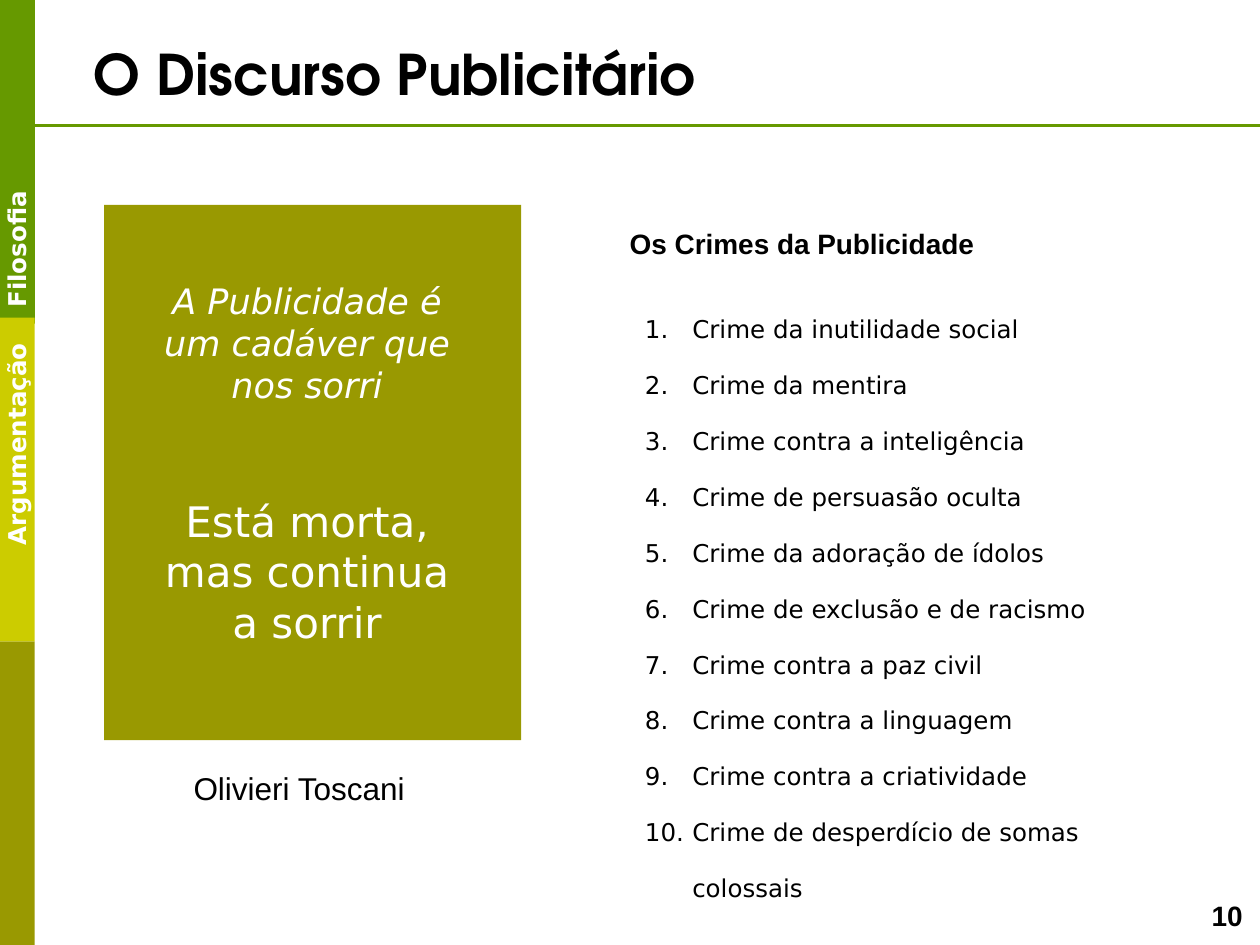
import pptx
import pptx.dml.color
import pptx.enum.shapes
import pptx.enum.text
import pptx.oxml.ns
import pptx.util
from lxml import etree

Pt = pptx.util.Pt
qn = pptx.oxml.ns.qn

BLACK, WHITE = "000000", "FFFFFF"
GREEN, LIME, OLIVE = "669900", "CCCC00", "999901"
SANS, ARIAL, DISPLAY = "DejaVu Sans", "Arial", "TeX Gyre Adventor"


def color(hex_string):
    return pptx.dml.color.RGBColor.from_string(hex_string)


class SlideWriter:
    def __init__(self, slide):
        self.slide = slide

    def block(self, left, top, width, height, fill):
        block = self.slide.shapes.add_shape(
            pptx.enum.shapes.MSO_SHAPE.RECTANGLE,
            Pt(left), Pt(top), Pt(width), Pt(height))
        block.shadow.inherit = False
        block.fill.solid()
        block.fill.fore_color.rgb = color(fill)
        block.line.fill.background()

    def rule(self, x1, y1, x2, y2, stroke, weight):
        rule = self.slide.shapes.add_connector(
            pptx.enum.shapes.MSO_CONNECTOR.STRAIGHT,
            Pt(x1), Pt(y1), Pt(x2), Pt(y2))
        rule.line.color.rgb = color(stroke)
        rule.line.width = Pt(weight)
        etree.SubElement(rule._element.spPr, qn("a:effectLst"))

    def frame(self, left, top, width, height, rotation=0):
        box = self.slide.shapes.add_textbox(
            Pt(left), Pt(top), Pt(width), Pt(height))
        box.rotation = rotation
        box.text_frame.word_wrap = True
        return box.text_frame

    def style(self, paragraph, size, face, ink, bold=False, italic=False):
        font = paragraph.font
        font.size, font.name = Pt(size), face
        font.bold, font.italic = bold, italic
        font.color.rgb = color(ink)

    def label(self, text, left, top, width, height, size, face,
              ink=BLACK, bold=True, rotation=0):
        frame = self.frame(left, top, width, height, rotation)
        frame.text = text
        self.style(frame.paragraphs[0], size, face, ink, bold)

    def quote(self, opening, reply, left, top, width, height):
        frame = self.frame(left, top, width, height)
        frame.text = f"{opening}\n{reply}"
        first, second = frame.paragraphs
        self.style(first, 20, SANS, WHITE, italic=True)
        self.style(second, 24, SANS, WHITE)
        second.space_before = Pt(51.5)
        for paragraph in frame.paragraphs:
            paragraph.alignment = pptx.enum.text.PP_ALIGN.CENTER

    def numbered_list(self, items, left, top, width, height):
        frame = self.frame(left, top, width, height)
        frame.text = "\n".join(items)
        for paragraph in frame.paragraphs:
            paragraph.line_spacing = 1.9
            properties = paragraph._p.get_or_add_pPr()
            properties.set("marL", str(Pt(27)))
            properties.set("indent", str(-Pt(27)))
            etree.SubElement(properties, qn("a:buFont"), typeface="+mj-lt")
            etree.SubElement(properties, qn("a:buAutoNum"), type="arabicPeriod")
            self.style(paragraph, 14, SANS, BLACK)


def main():
    deck = pptx.Presentation()
    deck.slide_width, deck.slide_height = Pt(720), Pt(540)
    writer = SlideWriter(deck.slides.add_slide(deck.slide_layouts[6]))

    writer.block(59.5, 117, 238.25, 306, OLIVE)
    writer.block(0, 366.5, 19.75, 173.5, OLIVE)
    writer.block(0, 0, 20, 185, GREEN)
    writer.block(0, 181.5, 19.75, 185, LIME)
    writer.rule(0, 71.5, 720, 71.5, GREEN, 1.75)

    for section, top in (("Argumentação", 239.75), ("Filosofia", 103.75)):
        writer.label(section, -57.5, top, 134, 24.25, 14, SANS, WHITE,
                     rotation=270)

    writer.label("O Discurso Publicitário", 46.25, 19, 597, 46, 32, DISPLAY)
    writer.label("10", 685.25, 510, 34, 26.5, 16, ARIAL)
    writer.quote("A Publicidade é um cadáver que nos sorri",
                 "Está morta, mas continua a sorrir", 82, 156, 187, 217.5)
    writer.label("Olivieri Toscani", 103.5, 436, 142, 29, 18, ARIAL,
                 bold=False)
    writer.label("Os Crimes da Publicidade", 352.75, 126, 220, 26.5, 16, ARIAL)
    writer.numbered_list([
        "Crime da inutilidade social",
        "Crime da mentira",
        "Crime contra a inteligência",
        "Crime de persuasão oculta",
        "Crime da adoração de ídolos",
        "Crime de exclusão e de racismo",
        "Crime contra a paz civil",
        "Crime contra a linguagem",
        "Crime contra a criatividade",
        "Crime de desperdício de somas colossais",
    ], 361.5, 161, 310.5, 327)

    deck.save("out.pptx")


if __name__ == "__main__":
    main()
